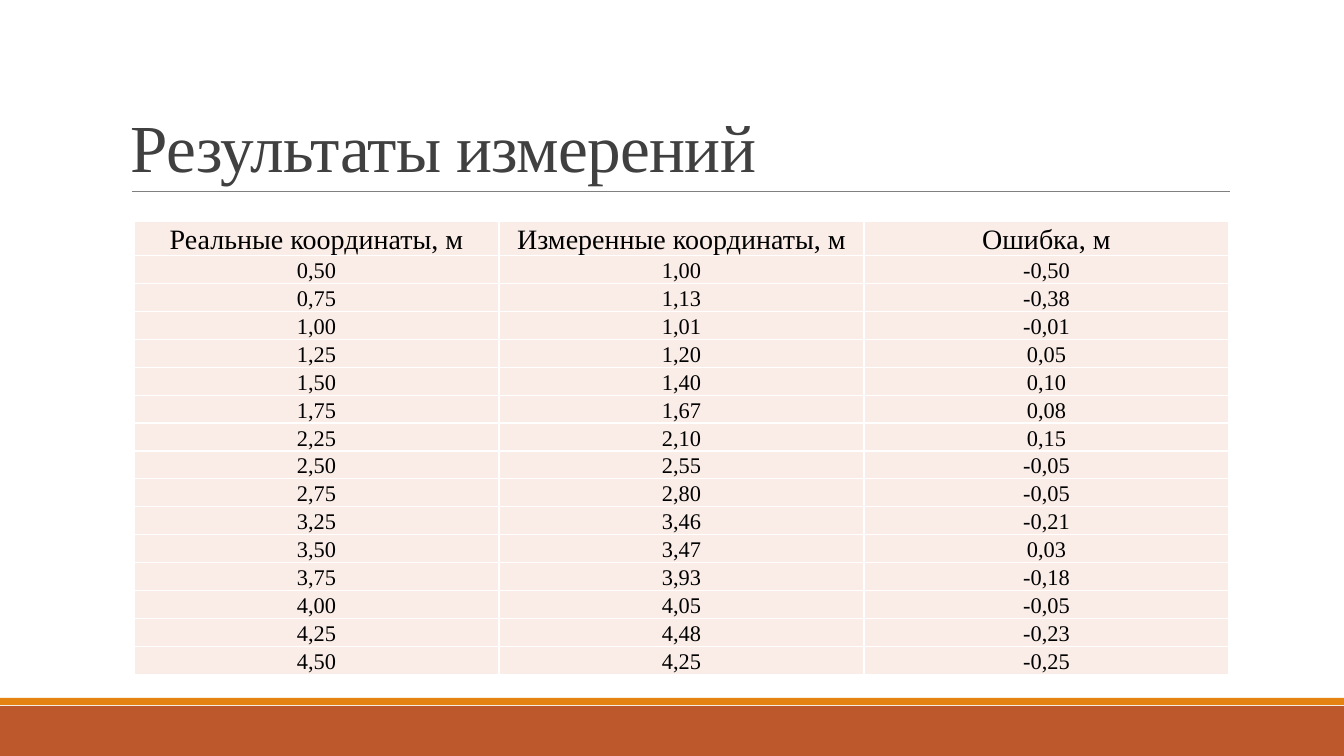
from lxml.etree import SubElement
from pptx import Presentation
from pptx.dml.color import RGBColor
from pptx.enum.shapes import MSO_CONNECTOR, MSO_SHAPE
from pptx.enum.text import MSO_ANCHOR, PP_ALIGN
from pptx.oxml.ns import qn
from pptx.util import Emu, Pt

FONT = "Times New Roman"
SLIDE_WIDTH, SLIDE_HEIGHT = 1344, 756
EMU_PER_PX = 12192000 / SLIDE_WIDTH
HEADERS = ("Реальные координаты, м", "Измеренные координаты, м", "Ошибка, м")
MEASUREMENTS = (
    ("0,50", "1,00", "-0,50"),
    ("0,75", "1,13", "-0,38"),
    ("1,00", "1,01", "-0,01"),
    ("1,25", "1,20", "0,05"),
    ("1,50", "1,40", "0,10"),
    ("1,75", "1,67", "0,08"),
    ("2,25", "2,10", "0,15"),
    ("2,50", "2,55", "-0,05"),
    ("2,75", "2,80", "-0,05"),
    ("3,25", "3,46", "-0,21"),
    ("3,50", "3,47", "0,03"),
    ("3,75", "3,93", "-0,18"),
    ("4,00", "4,05", "-0,05"),
    ("4,25", "4,48", "-0,23"),
    ("4,50", "4,25", "-0,25"),
)


def px(length):
    """Turn a length in px into EMU."""
    return Emu(round(length * EMU_PER_PX))


def color(value):
    """Turn a hex string into a colour."""
    return RGBColor.from_string(value)


def style_font(paragraph, size, value):
    """Set the font, size and colour of a paragraph."""
    paragraph.font.name = FONT
    paragraph.font.size = Pt(size)
    paragraph.font.color.rgb = color(value)


def add_band(slide, top, height, value):
    """Add a full-width plain band."""
    shape = slide.shapes.add_shape(
        MSO_SHAPE.RECTANGLE, 0, px(top), px(SLIDE_WIDTH), px(height))
    shape.shadow.inherit = False
    shape.fill.solid()
    shape.fill.fore_color.rgb = color(value)
    shape.line.fill.background()


def add_rule(slide, left, right, y):
    """Add the thin horizontal line under the title."""
    connector = slide.shapes.add_connector(
        MSO_CONNECTOR.STRAIGHT, px(left), px(y), px(right), px(y))
    connector.line.color.rgb = color("808080")
    connector.line.width = Pt(0.5)
    SubElement(connector._element.spPr, qn("a:effectLst"))


def add_title(slide, text):
    """Add the title, resting on the rule."""
    text_box = slide.shapes.add_textbox(px(121), px(31), px(1109), px(160))
    frame = text_box.text_frame
    frame.word_wrap = True
    frame.vertical_anchor = MSO_ANCHOR.BOTTOM
    paragraph = frame.paragraphs[0]
    paragraph.text = text
    paragraph.line_spacing = 0.85
    style_font(paragraph, 48, "404040")
    paragraph.runs[0].font._element.set("spc", "-50")


def add_borders(cell):
    """Draw white borders around a cell, placed before its fill."""
    properties = cell._tc.get_or_add_tcPr()
    for index, side in enumerate(("lnL", "lnR", "lnT", "lnB")):
        line = SubElement(properties, qn(f"a:{side}"), w=str(Pt(1)))
        fill = SubElement(line, qn("a:solidFill"))
        SubElement(fill, qn("a:srgbClr"), val="FFFFFF")
        properties.insert(index, line)


def fill_cell(cell, text, size):
    """Write and style one table cell."""
    cell.fill.solid()
    cell.fill.fore_color.rgb = color("FAEDE7")
    add_borders(cell)
    cell.margin_left = cell.margin_right = cell.margin_top = px(1)
    cell.margin_bottom = 0
    cell.vertical_anchor = MSO_ANCHOR.BOTTOM
    paragraph = cell.text_frame.paragraphs[0]
    paragraph.text = text
    paragraph.alignment = PP_ALIGN.CENTER
    style_font(paragraph, size, "000000")


def add_results_table(slide, left, top, column_width, row_height):
    """Add the table of real and measured coordinates."""
    rows = (HEADERS, *MEASUREMENTS)
    table = slide.shapes.add_table(
        len(rows), len(HEADERS), px(left), px(top),
        px(column_width * len(HEADERS)), px(row_height * len(rows))).table
    for row_index, row in enumerate(rows):
        for column_index, text in enumerate(row):
            fill_cell(table.cell(row_index, column_index), text,
                      16 if row_index else 20)


def main():
    """Build and save the slide."""
    presentation = Presentation()
    presentation.slide_width = px(SLIDE_WIDTH)
    presentation.slide_height = px(SLIDE_HEIGHT)
    slide = presentation.slides.add_slide(presentation.slide_layouts[6])
    add_band(slide, 706, 50, "BD582C")
    add_band(slide, 698, 7, "E48312")
    add_rule(slide, 132, 1230, 191)
    add_title(slide, "Результаты измерений")
    add_results_table(slide, 134, 221, 365, 27)
    presentation.save("out.pptx")


if __name__ == "__main__":
    main()
